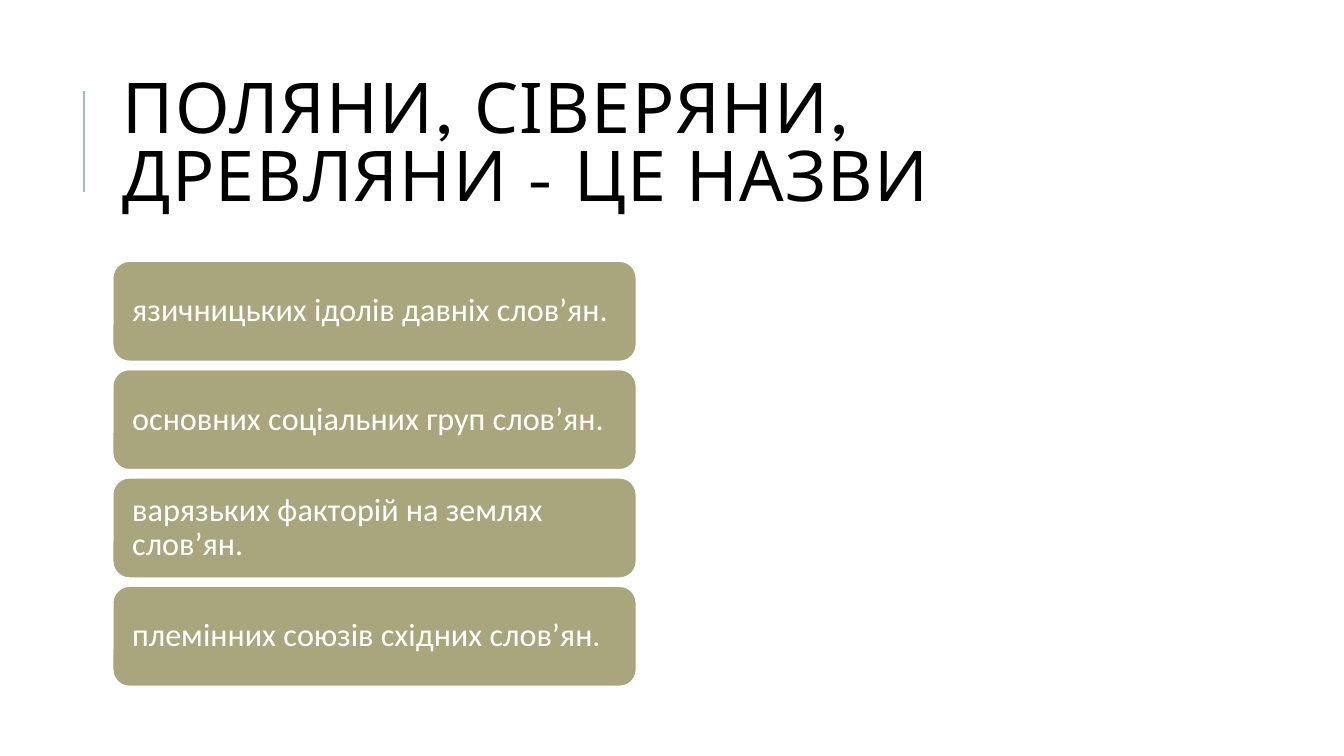
from pptx import Presentation
from pptx.dml.color import RGBColor
from pptx.enum.shapes import MSO_CONNECTOR, MSO_SHAPE
from pptx.enum.text import MSO_ANCHOR, PP_ALIGN
from pptx.oxml.ns import qn
from pptx.util import Cm, Pt
from lxml.etree import SubElement

BLACK = RGBColor(0x00, 0x00, 0x00)
WHITE = RGBColor(0xFF, 0xFF, 0xFF)
OLIVE = RGBColor(0xA9, 0xA5, 0x7C)
TEAL = RGBColor(0x9C, 0xBE, 0xBD)

ANSWERS = [
    "язичницьких ідолів давніх слов’ян.",
    "основних соціальних груп слов’ян.",
    "варязьких факторій на землях слов’ян.",
    "племінних союзів східних слов’ян.",
]


def write_text(frame, text, *, font, size, color, line_spacing, inset, spacing=0):
    frame.word_wrap = True
    frame.vertical_anchor = MSO_ANCHOR.MIDDLE
    frame.margin_left = frame.margin_right = inset
    paragraph = frame.paragraphs[0]
    paragraph.alignment = PP_ALIGN.LEFT
    paragraph.line_spacing = line_spacing
    run = paragraph.add_run()
    run.text = text
    run.font.name = font
    run.font.size = Pt(size)
    run.font.color.rgb = color
    if spacing:
        run.font._element.set("spc", str(spacing * 100))


class QuizSlide:
    heading_font = "League Spartan"
    body_font = "Calibri"

    def __init__(self, slide):
        self.shapes = slide.shapes

    def rule(self, x, top, bottom):
        accent = self.shapes.add_connector(
            MSO_CONNECTOR.STRAIGHT, Cm(x), Cm(top), Cm(x), Cm(bottom))
        accent.line.color.rgb = TEAL
        accent.line.width = Pt(1.5)
        SubElement(accent._element.spPr, qn("a:effectLst"))

    def title(self, text, left, top, width, height):
        heading = self.shapes.add_textbox(Cm(left), Cm(top), Cm(width), Cm(height))
        write_text(heading.text_frame, text, font=self.heading_font, size=50,
                   color=BLACK, line_spacing=0.8, inset=Cm(0.25), spacing=1)

    def answer(self, text, left, top, width, height):
        card = self.shapes.add_shape(
            MSO_SHAPE.ROUNDED_RECTANGLE, Cm(left), Cm(top), Cm(width), Cm(height))
        card.shadow.inherit = False
        card.fill.solid()
        card.fill.fore_color.rgb = OLIVE
        card.line.color.rgb = WHITE
        card.line.width = Pt(1.25)
        write_text(card.text_frame, text, font=self.body_font, size=23,
                   color=WHITE, line_spacing=0.9, inset=Cm(0.37))


def main():
    deck = Presentation()
    deck.slide_width = Cm(33.87)
    deck.slide_height = Cm(19.05)
    quiz = QuizSlide(deck.slides.add_slide(deck.slide_layouts[6]))

    quiz.rule(2.12, 2.3, 4.83)
    quiz.title("ПОЛЯНИ, СІВЕРЯНИ, ДРЕВЛЯНИ - ЦЕ НАЗВИ", 2.84, 1.63, 27, 4.17)
    for index, answer in enumerate(ANSWERS):
        quiz.answer(answer, 2.84, 6.58 + 2.73 * index, 13.2, 2.53)

    deck.save("out.pptx")


if __name__ == "__main__":
    main()
